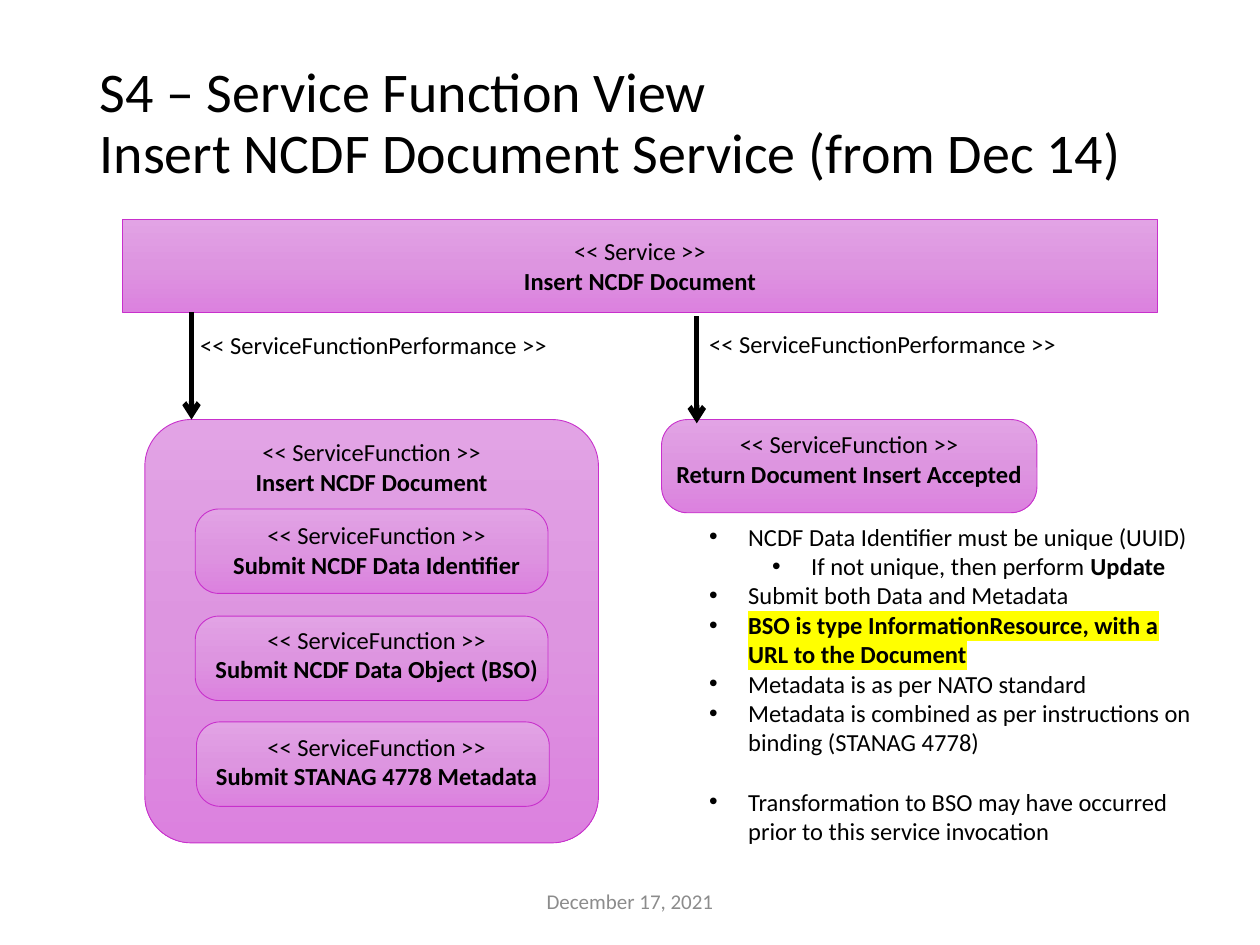
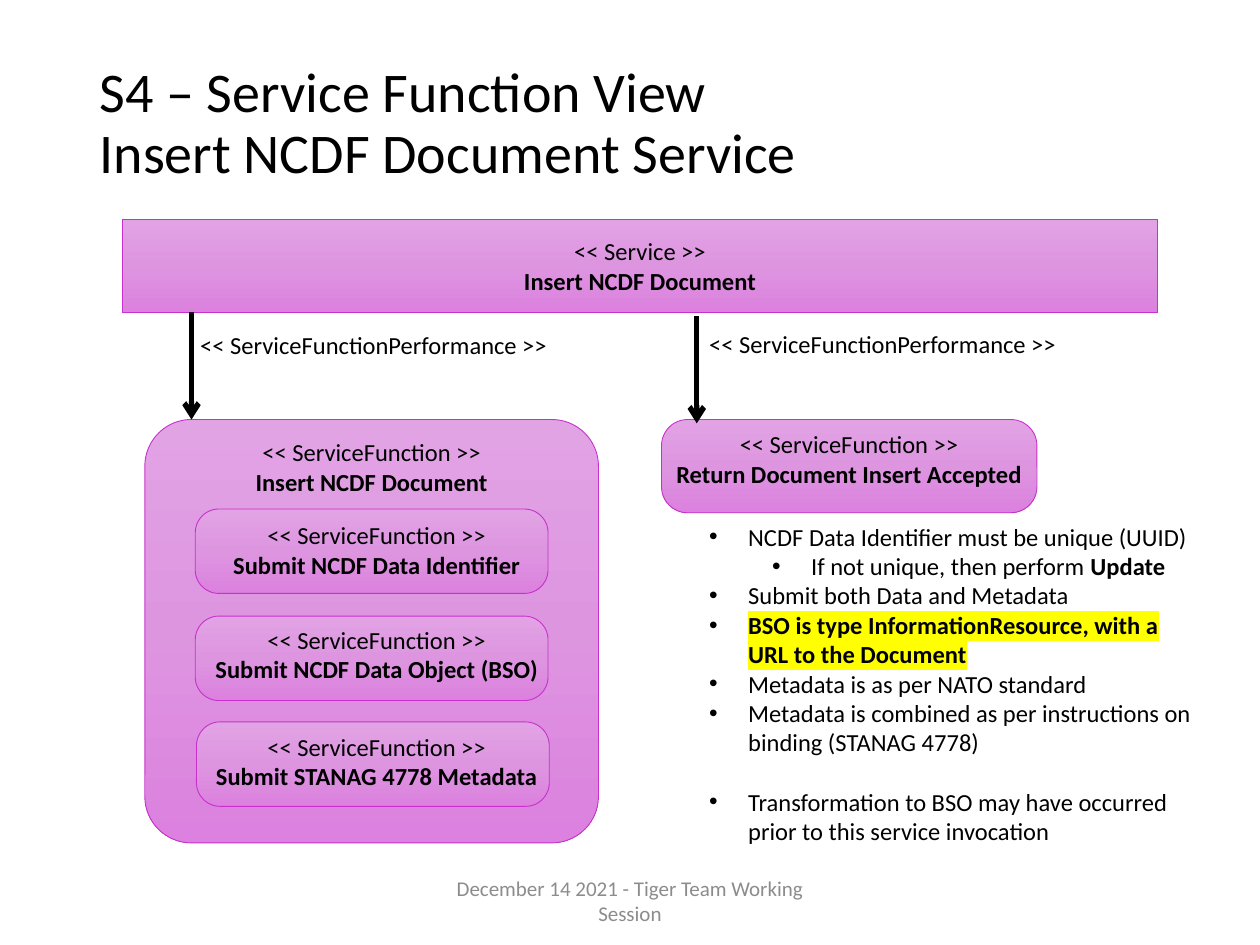
from copy import deepcopy
from dataclasses import dataclass

from lxml import etree
from pptx import Presentation
from pptx.dml.color import RGBColor
from pptx.enum.shapes import MSO_CONNECTOR, MSO_SHAPE
from pptx.enum.text import MSO_ANCHOR, MSO_AUTO_SIZE, PP_ALIGN
from pptx.oxml.ns import qn
from pptx.util import Inches, Pt

RECTANGLE, ROUNDED = MSO_SHAPE.RECTANGLE, MSO_SHAPE.ROUNDED_RECTANGLE
STRAIGHT = MSO_CONNECTOR.STRAIGHT
MIDDLE, TOP = MSO_ANCHOR.MIDDLE, MSO_ANCHOR.TOP
LEFT, CENTER = PP_ALIGN.LEFT, PP_ALIGN.CENTER
NO_FIT, GROW = MSO_AUTO_SIZE.NONE, MSO_AUTO_SIZE.SHAPE_TO_FIT_TEXT


@dataclass(frozen=True)
class Theme:
    font: str = "Calibri"
    ink: str = "000000"
    muted: str = "8C8C8C"
    border: str = "C830CC"
    marker: str = "FFFF00"
    gradient: tuple = ((0, "E2A3E5"), (0.5, "DD95E0"), (1, "DC81DF"))
    title_size: int = 32
    body_size: int = 14
    footer_size: int = 12
    border_width: float = 0.5
    arrow_width: float = 3
    card_rounding: float = 0.28
    group_rounding: float = 0.11


THEME = Theme()

SLIDES = [
    ("S4 – Service Function View\vInsert NCDF Document Service (from Dec 14)",
     "December 17, 2021"),
    ("S4 – Service Function View\vInsert NCDF Document Service",
     "December 14 2021 - Tiger Team Working Session"),
]

SUBMIT_STEPS = [
    ("Submit NCDF Data Identifier", 1.55, 4.04, 4.08),
    ("Submit NCDF Data Object (BSO)", 1.55, 4.89, 4.91),
    ("Submit STANAG 4778 Metadata", 1.56, 5.73, 5.76),
]

PERFORMANCES = [
    (1.52, 2.48, 1.49, 2.57),
    (5.53, 2.51, 5.53, 2.56),
]

PLAIN, BOLD, MARKED = "plain", "bold", "marked"
NOTES = [
    (0, 0, [("NCDF Data Identifier must be unique (UUID)", PLAIN)]),
    (1, 0, [("If not unique, then perform ", PLAIN), ("Update", BOLD)]),
    (0, 0, [("Submit both Data and Metadata", PLAIN)]),
    (0, 0, [("BSO is type InformationResource, with a URL to the Document", MARKED)]),
    (0, 0, [("Metadata is as per NATO standard", PLAIN)]),
    (0, 0, [("Metadata is combined as per instructions on binding (STANAG 4778)", PLAIN)]),
    (0, 17, [("Transformation to BSO may have occurred prior to this service invocation", PLAIN)]),
]


def rgb(value):
    return RGBColor.from_string(value)


def style_run(run, size=THEME.body_size, color=THEME.ink, bold=False):
    run.font.name = THEME.font
    run.font.size = Pt(size)
    run.font.bold = bold
    run.font.color.rgb = rgb(color)


def style_paragraph(paragraph, align=LEFT, **run_style):
    paragraph.alignment = align
    for run in paragraph.runs:
        style_run(run, **run_style)


def highlight(run):
    fill = run.font._element.find(qn("a:solidFill"))
    marker = etree.Element(qn("a:highlight"))
    etree.SubElement(marker, qn("a:srgbClr"), val=THEME.marker)
    fill.addnext(marker)


def write_stereotype(frame, stereotype, name):
    frame.text = f"<< {stereotype} >>\n{name}"
    heading, label = frame.paragraphs
    style_paragraph(heading, CENTER)
    style_paragraph(label, CENTER, bold=True)


def add_text_frame(slide, left, top, width, height, wrap=True, anchor=TOP, fit=GROW):
    box = slide.shapes.add_textbox(*map(Inches, (left, top, width, height)))
    frame = box.text_frame
    frame.word_wrap = wrap
    frame.vertical_anchor = anchor
    frame.auto_size = fit
    return frame


def add_title(slide, text):
    title = slide.shapes.title
    title.left, title.top, title.width, title.height = map(Inches, (0.69, 0.4, 8.62, 1.18))
    frame = title.text_frame
    frame.text = text
    frame.vertical_anchor = MIDDLE
    frame.auto_size = NO_FIT
    heading = frame.paragraphs[0]
    heading.line_spacing = 0.9
    style_paragraph(heading, size=THEME.title_size)


def add_footer(slide, text):
    frame = add_text_frame(slide, 3.31, 6.95, 3.38, 0.4, anchor=MIDDLE, fit=NO_FIT)
    frame.text = text
    style_paragraph(frame.paragraphs[0], CENTER, size=THEME.footer_size, color=THEME.muted)


def add_panel(slide, left, top, width, height, rounding=None):
    panel = slide.shapes.add_shape(
        RECTANGLE if rounding is None else ROUNDED,
        *map(Inches, (left, top, width, height)))
    if rounding is not None:
        panel.adjustments[0] = rounding
    panel.shadow.inherit = False
    panel.fill.gradient()
    panel.fill.gradient_angle = 270
    stops = panel.element.spPr.find(qn("a:gradFill")).find(qn("a:gsLst"))
    stops.append(deepcopy(stops[0]))
    for stop, (position, color) in zip(panel.fill.gradient_stops, THEME.gradient):
        stop.position = position
        stop.color.rgb = rgb(color)
    panel.line.color.rgb = rgb(THEME.border)
    panel.line.width = Pt(THEME.border_width)
    return panel


def add_function_caption(slide, name, center, top, width=2.78):
    frame = add_text_frame(slide, center - width / 2, top, width, 0.57, wrap=False)
    write_stereotype(frame, "ServiceFunction", name)


def add_performance(slide, arrow_x, arrow_top, label_left, label_top):
    arrow = slide.shapes.add_connector(
        STRAIGHT, *map(Inches, (arrow_x, arrow_top, arrow_x, arrow_top + 0.85)))
    arrow.line.color.rgb = rgb(THEME.ink)
    arrow.line.width = Pt(THEME.arrow_width)
    etree.SubElement(arrow.line._get_or_add_ln(), qn("a:tailEnd"), type="arrow")
    etree.SubElement(arrow.element.spPr, qn("a:effectLst"))
    label = add_text_frame(slide, label_left, label_top, 2.98, 0.34, wrap=False)
    label.text = "<< ServiceFunctionPerformance >>"
    style_paragraph(label.paragraphs[0])


def add_bullet(paragraph, level):
    paragraph.level = level
    properties = paragraph._p.get_or_add_pPr()
    properties.set("marL", str(Inches(0.31 + 0.5 * level)))
    properties.set("indent", str(Inches(-0.31)))
    etree.SubElement(properties, qn("a:buFont"), typeface="Arial")
    etree.SubElement(properties, qn("a:buChar"), char="•")


def add_notes_list(slide):
    frame = add_text_frame(slide, 5.53, 4.09, 4.04, 2.69)
    for index, (level, gap, parts) in enumerate(NOTES):
        note = frame.add_paragraph() if index else frame.paragraphs[0]
        note.space_before = Pt(gap)
        add_bullet(note, level)
        for text, emphasis in parts:
            run = note.add_run()
            run.text = text
            style_run(run, bold=emphasis != PLAIN)
            if emphasis == MARKED:
                highlight(run)


def add_service_view(slide):
    service = add_panel(slide, 0.97, 1.74, 8.22, 0.74)
    service.text_frame.vertical_anchor = MIDDLE
    write_stereotype(service.text_frame, "Service", "Insert NCDF Document")
    add_panel(slide, 1.15, 3.33, 3.6, 3.36, THEME.group_rounding)
    add_function_caption(slide, "Insert NCDF Document", 2.95, 3.42)
    add_panel(slide, 5.25, 3.33, 2.98, 0.74, THEME.card_rounding)
    add_function_caption(slide, "Return Document Insert Accepted", 6.74, 3.36, 2.96)
    for performance in PERFORMANCES:
        add_performance(slide, *performance)
    for name, left, top, caption_top in SUBMIT_STEPS:
        add_panel(slide, left, top, 2.8, 0.67, THEME.card_rounding)
        add_function_caption(slide, name, 2.99, caption_top)
    add_notes_list(slide)


def main():
    deck = Presentation()
    deck.slide_width, deck.slide_height = Inches(10), Inches(7.5)
    title_only = deck.slide_layouts[5]
    for title, footer in SLIDES:
        slide = deck.slides.add_slide(title_only)
        add_title(slide, title)
        add_service_view(slide)
        add_footer(slide, footer)
    deck.save("out.pptx")


if __name__ == "__main__":
    main()
